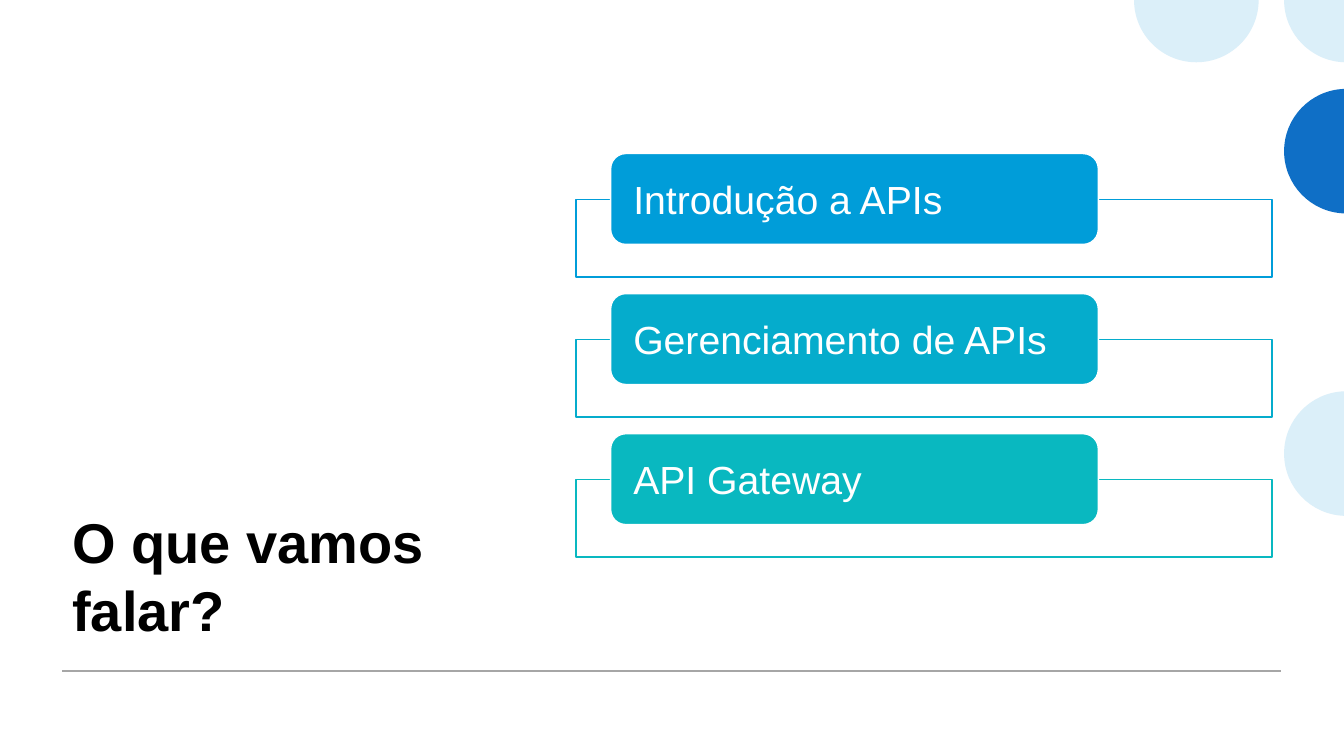
"""Builds the agenda slide of a talk on APIs."""
from math import cos, radians, sin, tan

from lxml import etree
from pptx import Presentation
from pptx.dml.color import RGBColor
from pptx.enum.shapes import MSO_CONNECTOR, MSO_SHAPE
from pptx.enum.text import MSO_ANCHOR, PP_ALIGN
from pptx.oxml.ns import qn
from pptx.util import Cm, Pt

LEFT, MIDDLE, BOTTOM = PP_ALIGN.LEFT, MSO_ANCHOR.MIDDLE, MSO_ANCHOR.BOTTOM
RECTANGLE, ROUNDED = MSO_SHAPE.RECTANGLE, MSO_SHAPE.ROUNDED_RECTANGLE
STRAIGHT = MSO_CONNECTOR.STRAIGHT

COLORS = {
    "white": "FFFFFF", "black": "000000", "rule": "A6A6A6",
    "pale": "DBEFF9", "deep": "0F6FC6",
    "blue": "009DD9", "cyan": "05ACCC", "teal": "09B8C0",
}
FONT = "Arial"
TITLE = "O que vamos falar?"
TOPICS = [
    ("Introdução a APIs", "blue"),
    ("Gerenciamento de APIs", "cyan"),
    ("API Gateway", "teal"),
]
SLIDE_WIDTH, SLIDE_HEIGHT = 33.87, 19.05
RADIUS = 1.57
CORNER = (SLIDE_WIDTH, 0)
CIRCLES = [
    (30.15, 0, 0, 180, [], "pale"),
    (33.93, 11.43, 92, 268, [], "pale"),
    (33.93, 3.81, 92, 268, [], "deep"),
    (33.93, 0, 92, 180, [CORNER], "pale"),
]
FRAME_TOP, LABEL_TOP, TOPIC_PITCH = 5.03, 3.87, 3.53


def color(name):
    return RGBColor.from_string(COLORS[name])


def paint(shape, fill, outline=None):
    shape.shadow.inherit = False
    shape.fill.solid()
    shape.fill.fore_color.rgb = color(fill)
    if outline:
        shape.line.color.rgb = color(outline)
        shape.line.width = Pt(1)
    else:
        shape.line.fill.background()


def write(shape, text, size, ink, anchor, bold=False):
    frame = shape.text_frame
    frame.text = text
    frame.word_wrap = True
    frame.vertical_anchor = anchor
    paragraph = frame.paragraphs[0]
    paragraph.alignment = LEFT
    font = paragraph.font
    font.name, font.size, font.bold = FONT, Pt(size), bold
    font.color.rgb = color(ink)
    return frame


def arc_points(center_x, center_y, start, end):
    """Return the start of an arc, then three Bézier points per 90° or less."""
    count = 2 if end - start > 90 else 1
    step = radians(end - start) / count
    handle = RADIUS * 4 / 3 * tan(step / 4)

    def at(angle, along=0):
        return (center_x + RADIUS * cos(angle) - along * sin(angle),
                center_y + RADIUS * sin(angle) + along * cos(angle))

    points = [at(radians(start))]
    for index in range(count):
        first = radians(start) + index * step
        last = first + step
        points += [at(first, handle), at(last, -handle), at(last)]
    return points


def add_clipped_circle(slide, center_x, center_y, start, end, corners, fill):
    arc = arc_points(center_x, center_y, start, end)
    outline = [(Cm(x), Cm(y)) for x, y in corners + arc]
    builder = slide.shapes.build_freeform(*outline[0])
    builder.add_line_segments(outline[1:], close=True)
    circle = builder.convert_to_shape()
    paint(circle, fill)
    segments = list(circle._element.spPr.iter(qn("a:lnTo")))[len(corners):]
    for curve, *others in zip(segments[::3], segments[1::3], segments[2::3]):
        curve.tag = qn("a:cubicBezTo")
        for other in others:
            curve.append(other[0])
            other.getparent().remove(other)


def add_topic(slide, index, text, accent):
    offset = index * TOPIC_PITCH
    frame = slide.shapes.add_shape(
        RECTANGLE, Cm(14.52), Cm(FRAME_TOP + offset), Cm(17.54), Cm(1.95))
    paint(frame, "white", accent)
    label = slide.shapes.add_shape(
        ROUNDED, Cm(15.39), Cm(LABEL_TOP + offset), Cm(12.29), Cm(2.29))
    paint(label, accent, "white")
    label_text = write(label, text, 28, "white", MIDDLE)
    label_text.margin_left = label_text.margin_right = Cm(0.46)
    label_text.margin_top, label_text.margin_bottom = 0, Cm(0.03)


def main():
    deck = Presentation()
    deck.slide_width, deck.slide_height = Cm(SLIDE_WIDTH), Cm(SLIDE_HEIGHT)
    slide = deck.slides.add_slide(deck.slide_layouts[5])

    title = slide.shapes.title
    title.left, title.top = Cm(1.57), Cm(6.91)
    title.width, title.height = Cm(10.03), Cm(9.42)
    title_text = write(title, TITLE, 40, "black", BOTTOM, bold=True)
    title_text.paragraphs[0].line_spacing = 1.02

    for circle in CIRCLES:
        add_clipped_circle(slide, *circle)

    rule = slide.shapes.add_connector(
        STRAIGHT, Cm(1.57), Cm(16.91), Cm(32.28), Cm(16.91))
    rule.line.color.rgb = color("rule")
    rule.line.width = Pt(1)
    etree.SubElement(rule._element.spPr, qn("a:effectLst"))

    for index, (text, accent) in enumerate(TOPICS):
        add_topic(slide, index, text, accent)

    deck.save("out.pptx")


if __name__ == "__main__":
    main()
